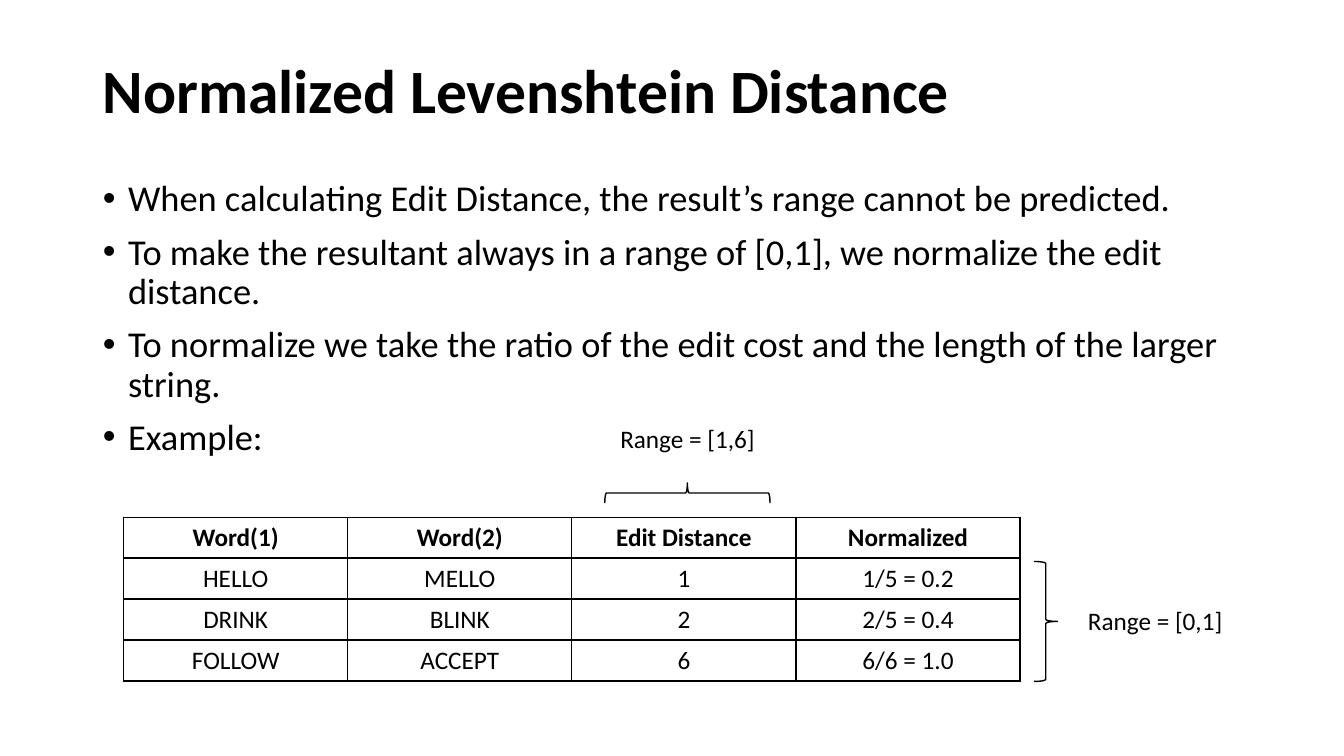
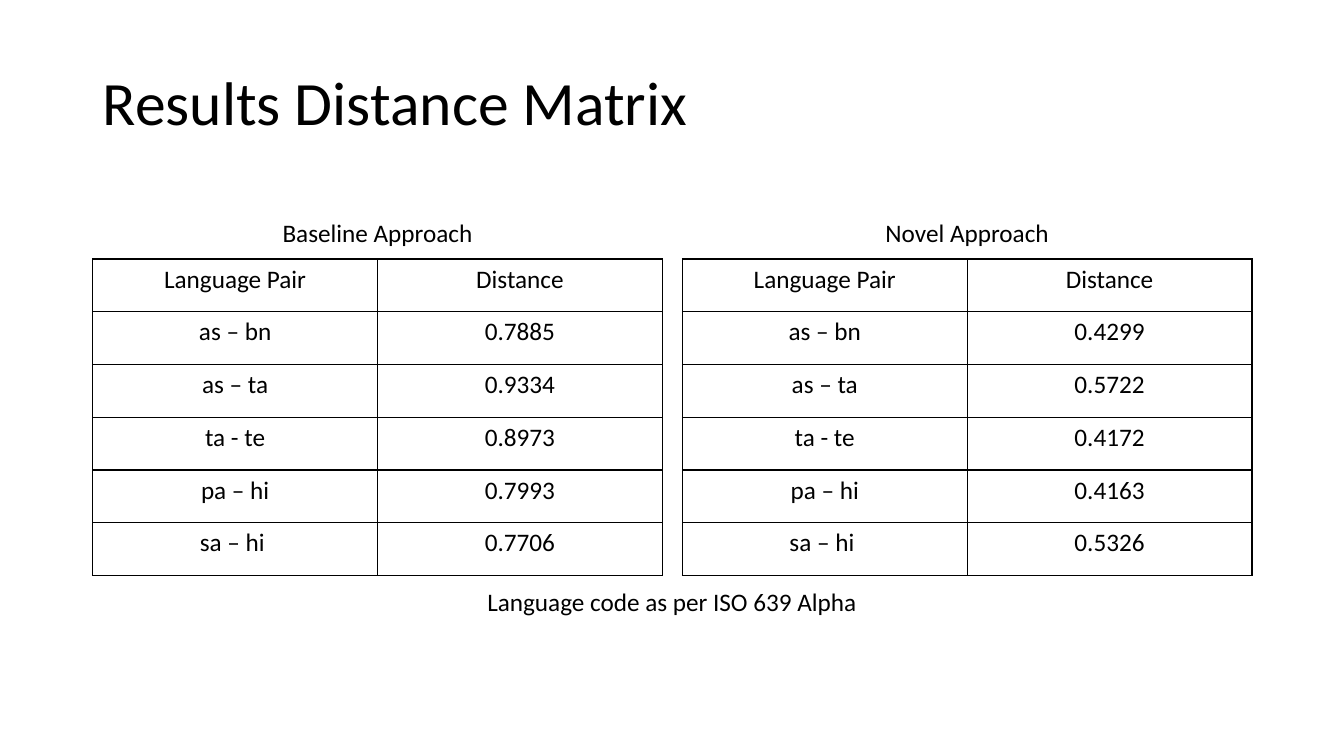
from lxml import etree
from pptx import Presentation, util as u
from pptx.dml.color import RGBColor
from pptx.enum import shapes, text
from pptx.oxml import ns

INK = RGBColor(0x00, 0x00, 0x00)
FONT = "Calibri"
WIDTH, HEIGHT = u.Inches(13.333), u.Inches(7.5)
MARGIN, CONTENT = 6.9, 86.25
LABEL_SIZE = 18
RULE = u.Pt(1)
LEFT, CENTER = text.PP_ALIGN.LEFT, text.PP_ALIGN.CENTER
TOP, MIDDLE = text.MSO_ANCHOR.TOP, text.MSO_ANCHOR.MIDDLE

PAIRS = ["as – bn", "as – ta", "ta - te", "pa – hi", "sa – hi "]
BASELINE = ["0.7885", "0.9334", "0.8973", "0.7993", "0.7706"]
NOVEL = ["0.4299", "0.5722", "0.4172", "0.4163", "0.5326"]
POINTS = [
    "When calculating Edit Distance, the result’s range cannot be predicted.",
    "To make the resultant always in a range of [0,1], we normalize the edit distance.",
    "To normalize we take the ratio of the edit cost and the length of the larger string.",
    "Example:",
]
EXAMPLES = [
    ["Word(1)", "Word(2)", "Edit Distance", "Normalized"],
    ["HELLO", "MELLO", "1", "1/5 = 0.2"],
    ["DRINK", "BLINK", "2", "2/5 = 0.4"],
    ["FOLLOW", "ACCEPT", "6", "6/6 = 1.0"],
]


def area(left, top, width, height):
    """Turn percentages of the slide into lengths."""
    return [round(share * side / 100) for share, side in
            zip((left, top, width, height), (WIDTH, HEIGHT, WIDTH, HEIGHT))]


def write(frame, *lines, size=LABEL_SIZE, bold=False, align=CENTER,
          spacing=1.0, before=0, hanging=0):
    for index, line in enumerate(lines):
        paragraph = frame.add_paragraph() if index else frame.paragraphs[0]
        paragraph.alignment = align
        paragraph.line_spacing = spacing
        paragraph.space_before = u.Pt(before)
        if hanging:
            properties = paragraph._p.get_or_add_pPr()
            properties.set("marL", str(u.Inches(hanging)))
            properties.set("indent", str(-u.Inches(hanging)))
        run = paragraph.add_run()
        run.text = line
        run.font.name, run.font.size = FONT, u.Pt(size)
        run.font.bold, run.font.color.rgb = bold, INK


def fill_placeholder(placeholder, box, *lines, anchor=MIDDLE, **style):
    placeholder.left, placeholder.top, placeholder.width, placeholder.height = area(*box)
    frame = placeholder.text_frame
    frame.auto_size = text.MSO_AUTO_SIZE.NONE
    frame.vertical_anchor = anchor
    write(frame, *lines, align=LEFT, spacing=0.9, **style)


def add_title(slide, wording, top, height, bold=False):
    fill_placeholder(slide.shapes.title, (MARGIN, top, CONTENT, height),
                     wording, size=44, bold=bold)


def add_label(slide, wording, center, top, width, height):
    label = slide.shapes.add_textbox(*area(center - width / 2, top, width, height))
    label.text_frame.word_wrap = True
    label.text_frame.vertical_anchor = MIDDLE
    write(label.text_frame, wording)


def add_brace(slide, box, rotation=0):
    brace = slide.shapes.add_shape(shapes.MSO_SHAPE.RIGHT_BRACE, *area(*box))
    brace.rotation = rotation
    brace.shadow.inherit = False
    brace.fill.background()
    brace.line.color.rgb = INK
    brace.line.width = RULE


def outline(cell):
    properties = cell._tc.get_or_add_tcPr()
    for side in ("lnL", "lnR", "lnT", "lnB"):
        edge = etree.SubElement(properties, ns.qn(f"a:{side}"), w=str(RULE))
        solid = etree.SubElement(edge, ns.qn("a:solidFill"))
        etree.SubElement(solid, ns.qn("a:srgbClr"), val=str(INK))
    cell.fill.background()


def add_grid(slide, rows, left, top, width, row_height, bold_header=False):
    box = area(left, top, width, row_height * len(rows))
    grid = slide.shapes.add_table(len(rows), len(rows[0]), *box).table
    grid.first_row = grid.horz_banding = False
    for r, row in enumerate(rows):
        for c, wording in enumerate(row):
            cell = grid.cell(r, c)
            outline(cell)
            write(cell.text_frame, wording, bold=bold_header and r == 0)


def build_normalization(deck):
    slide = deck.slides.add_slide(deck.slide_layouts[1])
    add_title(slide, "Normalized Levenshtein Distance", 5.33, 14.13, bold=True)
    fill_placeholder(slide.placeholders[1], (MARGIN, 23.2, CONTENT, 66.93), *POINTS,
                     anchor=TOP, size=26, before=10, hanging=0.25)
    add_grid(slide, EXAMPLES, 9.2, 68.4, 66.7, 5.42, bold_header=True)
    add_brace(slide, (76.95, 74.27, 1.73, 15.87))
    add_brace(slide, (50.4, 54.27, 1.5, 21.87), rotation=270)
    add_label(slide, "Range = [0,1]", 85.95, 78.13, 12.3, 8)
    add_label(slide, "Range = [1,6]", 51.15, 54, 12.3, 8)


def build_results(deck):
    slide = deck.slides.add_slide(deck.slide_layouts[5])
    add_title(slide, "Results Distance Matrix", 4.27, 19.33)
    width, label_size = 42.38, (29.93, 8.53)
    approaches = [
        ("Baseline Approach", BASELINE, MARGIN),
        ("Novel Approach", NOVEL, MARGIN + CONTENT - width),
    ]
    for approach, distances, left in approaches:
        rows = [("Language Pair", "Distance"), *zip(PAIRS, distances)]
        add_grid(slide, rows, left, 34.27, width, 6.98)
        add_label(slide, approach, left + width / 2, 26.53, *label_size)
    add_label(slide, "Language code as per ISO 639 Alpha", 50, 75.33, *label_size)


def main():
    deck = Presentation()
    deck.slide_width, deck.slide_height = WIDTH, HEIGHT
    build_normalization(deck)
    build_results(deck)
    deck.save("out.pptx")


if __name__ == "__main__":
    main()
